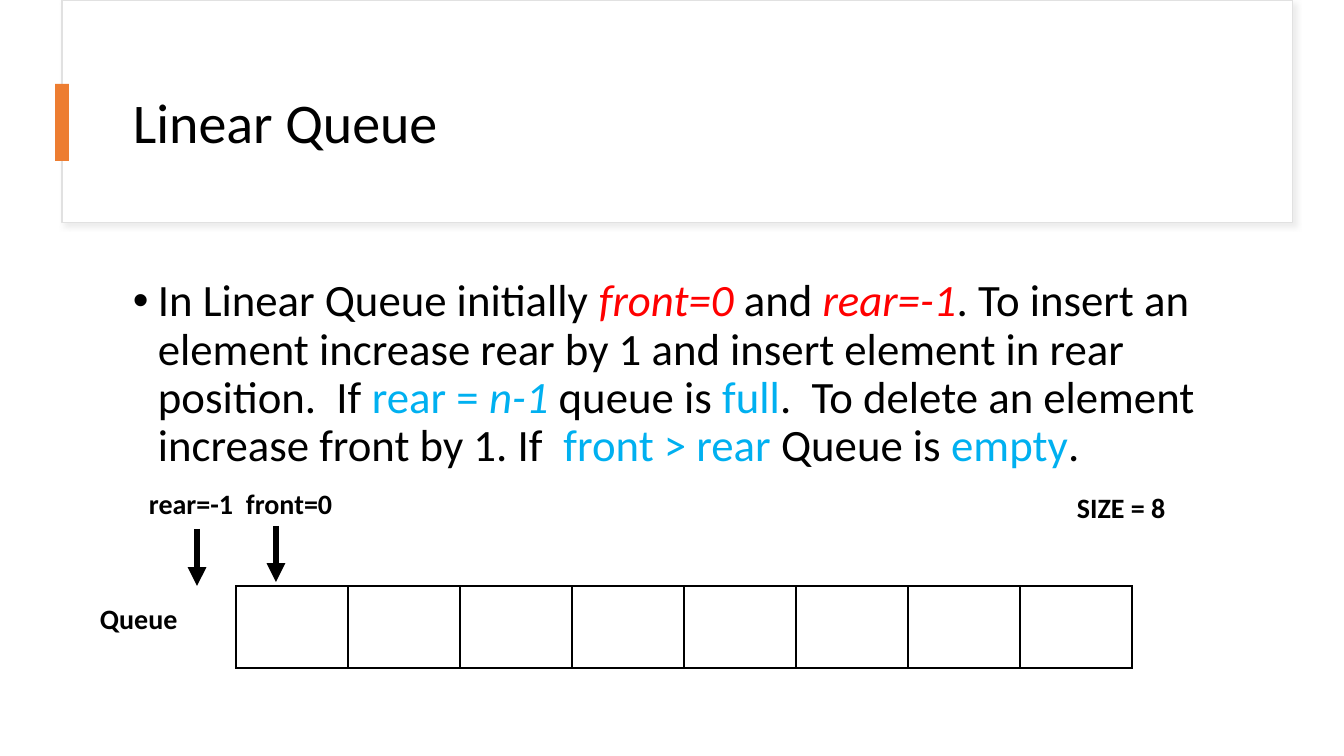
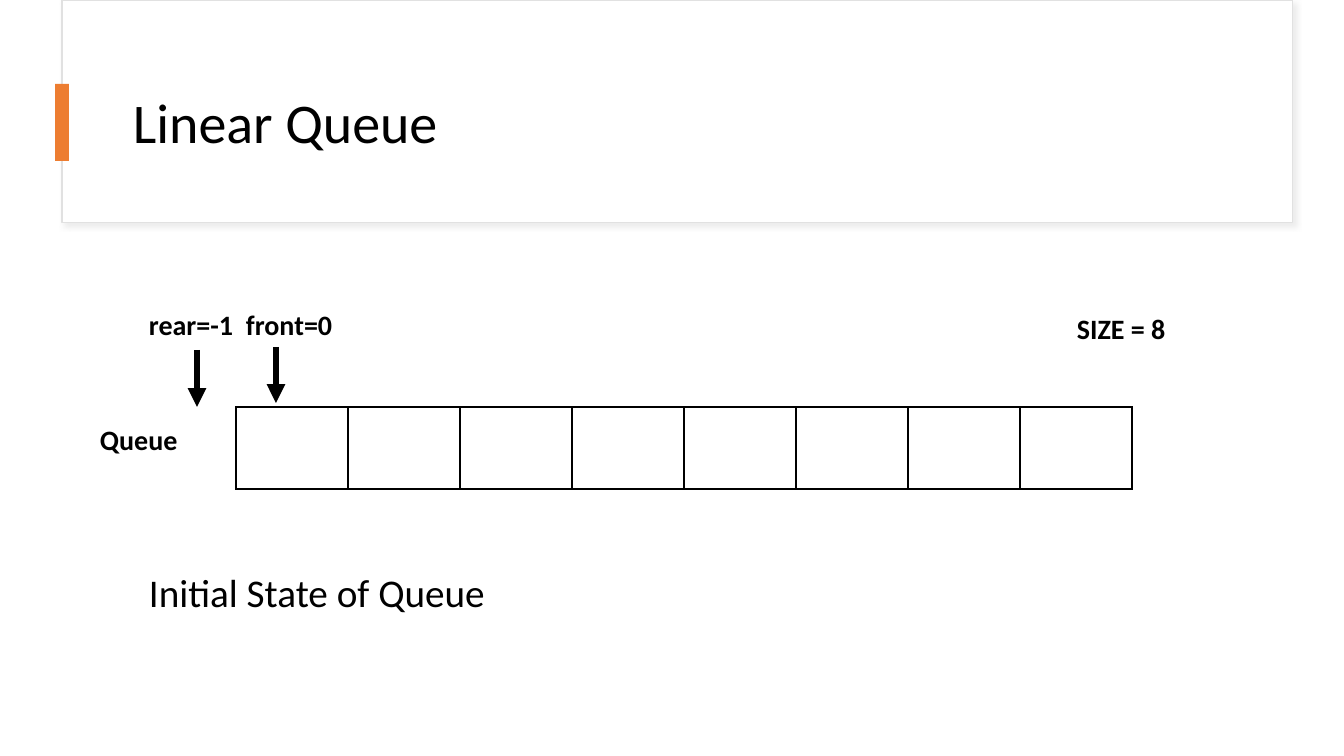
from dataclasses import dataclass

from pptx import Presentation
from pptx import util as u
from pptx.dml.color import RGBColor
from pptx.enum import shapes, text
from pptx.oxml import parse_xml
from pptx.oxml.ns import nsdecls

# Shared style
SCALE = 9525 * 96 / 100.8  # EMU per pixel
FONT = "Calibri"
COLORS = {
    "ink": "000000",
    "paper": "FFFFFF",
    "edge": "E1E1E1",
    "shade": "D9D9D9",
    "accent": "ED7D31",
    "red": "FF0000",
    "blue": "00B0F0",
}
BULLET_INDENT = 25
CELL_COUNT = 8
CELL_W, CELL_H = 112, 82
QUEUE_LEFT = 236


@dataclass(frozen=True)
class Box:
    x: int
    y: int
    w: int
    h: int


@dataclass(frozen=True)
class Run:
    text: str
    color: str = "ink"
    italic: bool = False


@dataclass(frozen=True)
class Label:
    text: str
    box: Box  # y counts from the top of the queue


@dataclass(frozen=True)
class Pointer:
    x: int
    start: int  # both ends count from the top of the queue
    end: int


LABELS = [
    Label("rear=-1", Box(139, -104, 105, 44)),
    Label("front=0", Box(236, -104, 108, 44)),
    Label("SIZE = 8", Box(1067, -100, 110, 44)),
    Label("Queue", Box(90, 11, 99, 44)),
]
POINTERS = [Pointer(276, -60, -4), Pointer(197, -57, 0)]
EXPLANATION = [
    Run("In Linear Queue initially "),
    Run("front=0", "red", True),
    Run(" and "),
    Run("rear=-1", "red", True),
    Run(". To insert an element increase rear by 1 and insert element in rear position.  If "),
    Run("rear = ", "blue"),
    Run("n-1 ", "blue", True),
    Run("queue is "),
    Run("full", "blue"),
    Run(".  To delete an element  increase front by 1. If  "),
    Run("front > rear ", "blue"),
    Run("Queue is "),
    Run("empty", "blue"),
    Run("."),
]


def px(n: float) -> u.Emu:
    return u.Emu(round(n * SCALE))


def rgb(name: str) -> RGBColor:
    return RGBColor.from_string(COLORS[name])


def place(box: Box) -> tuple:
    return px(box.x), px(box.y), px(box.w), px(box.h)


# Drawing functions
def add_rect(s, box: Box, fill: str, line: str = ""):
    sp = s.shapes.add_shape(shapes.MSO_SHAPE.RECTANGLE, *place(box))
    sp.shadow.inherit = False
    sp.fill.solid()
    sp.fill.fore_color.rgb = rgb(fill)
    if line:
        sp.line.color.rgb = rgb(line)
        sp.line.width = u.Pt(0.75)
    else:
        sp.line.fill.background()
    return sp


def add_text(s, box: Box, runs: list[Run], size: int, bold: bool = False,
             wrap: bool = False, spacing: float = 1.0, middle: bool = False):
    sp = s.shapes.add_textbox(*place(box))
    tf = sp.text_frame
    tf.word_wrap = wrap
    if not wrap:
        tf.auto_size = text.MSO_AUTO_SIZE.SHAPE_TO_FIT_TEXT
    if middle:
        tf.vertical_anchor = text.MSO_ANCHOR.MIDDLE
    p = tf.paragraphs[0]
    p.line_spacing = spacing
    for run in runs:
        r = p.add_run()
        r.text = run.text
        r.font.name = FONT
        r.font.size = u.Pt(size)
        r.font.bold = bold
        r.font.italic = run.italic
        r.font.color.rgb = rgb(run.color)
    return p


def add_bullet(p) -> None:
    pPr = p._p.get_or_add_pPr()
    pPr.set("marL", str(px(BULLET_INDENT)))
    pPr.set("indent", str(-px(BULLET_INDENT)))
    pPr.append(parse_xml(f'<a:buFont {nsdecls("a")} typeface="Arial"/>'))
    pPr.append(parse_xml(f'<a:buChar {nsdecls("a")} char="•"/>'))


def add_shadow(sp) -> None:
    effects = sp._element.spPr.find("{*}effectLst")
    effects.append(parse_xml(
        f'<a:outerShdw {nsdecls("a")} blurRad="{u.Pt(4)}" dist="{u.Pt(3)}" dir="2700000">'
        f'<a:srgbClr val="{COLORS["shade"]}"><a:alpha val="50000"/></a:srgbClr>'
        '</a:outerShdw>'))


def add_pointer(s, pointer: Pointer, top: int) -> None:
    x = px(pointer.x)
    c = s.shapes.add_connector(shapes.MSO_CONNECTOR.STRAIGHT, x, px(top + pointer.start),
                               x, px(top + pointer.end))
    c.line.color.rgb = rgb("ink")
    c.line.width = u.Pt(4.5)
    c.line._get_or_add_ln().append(parse_xml(f'<a:tailEnd {nsdecls("a")} type="triangle"/>'))
    c._element.spPr.append(parse_xml(f'<a:effectLst {nsdecls("a")}/>'))


def add_cells(s, top: int) -> None:
    box = Box(QUEUE_LEFT, top, CELL_COUNT * CELL_W, CELL_H)
    table = s.shapes.add_table(1, CELL_COUNT, *place(box)).table
    table.first_row = False
    table.horz_banding = False
    for cell in table.iter_cells():
        cell.fill.background()
        tcPr = cell._tc.get_or_add_tcPr()
        for i, side in enumerate(("lnL", "lnR", "lnT", "lnB")):
            tcPr.insert(i, parse_xml(
                f'<a:{side} {nsdecls("a")} w="{u.Pt(1)}"><a:solidFill>'
                f'<a:srgbClr val="{COLORS["ink"]}"/></a:solidFill></a:{side}>'))


def add_queue(s, top: int) -> None:
    add_cells(s, top)
    for pointer in POINTERS:
        add_pointer(s, pointer, top)
    for label in LABELS:
        b = label.box
        add_text(s, Box(b.x, top + b.y, b.w, b.h), [Run(label.text)], 20, bold=True)


def add_titled_slide(prs, title: str):
    s = prs.slides.add_slide(prs.slide_layouts[6])
    add_shadow(add_rect(s, Box(62, 0, 1231, 223), "paper", "edge"))
    add_text(s, Box(123, 60, 1121, 130), [Run(title)], 40, wrap=True, spacing=0.9, middle=True)
    add_rect(s, Box(55, 84, 14, 77), "accent")
    return s


prs = Presentation()
prs.slide_width, prs.slide_height = px(1344), px(756)

# Slide 1: rules of the linear queue
s = add_titled_slide(prs, "Linear Queue")
add_bullet(add_text(s, Box(123, 273, 1121, 223), EXPLANATION, 32, wrap=True, spacing=0.9))
add_queue(s, 586)

# Slide 2: initial state
s = add_titled_slide(prs, "Linear Queue")
add_queue(s, 407)
add_text(s, Box(139, 563, 360, 57), [Run("Initial State of Queue")], 28)

prs.save("out.pptx")
